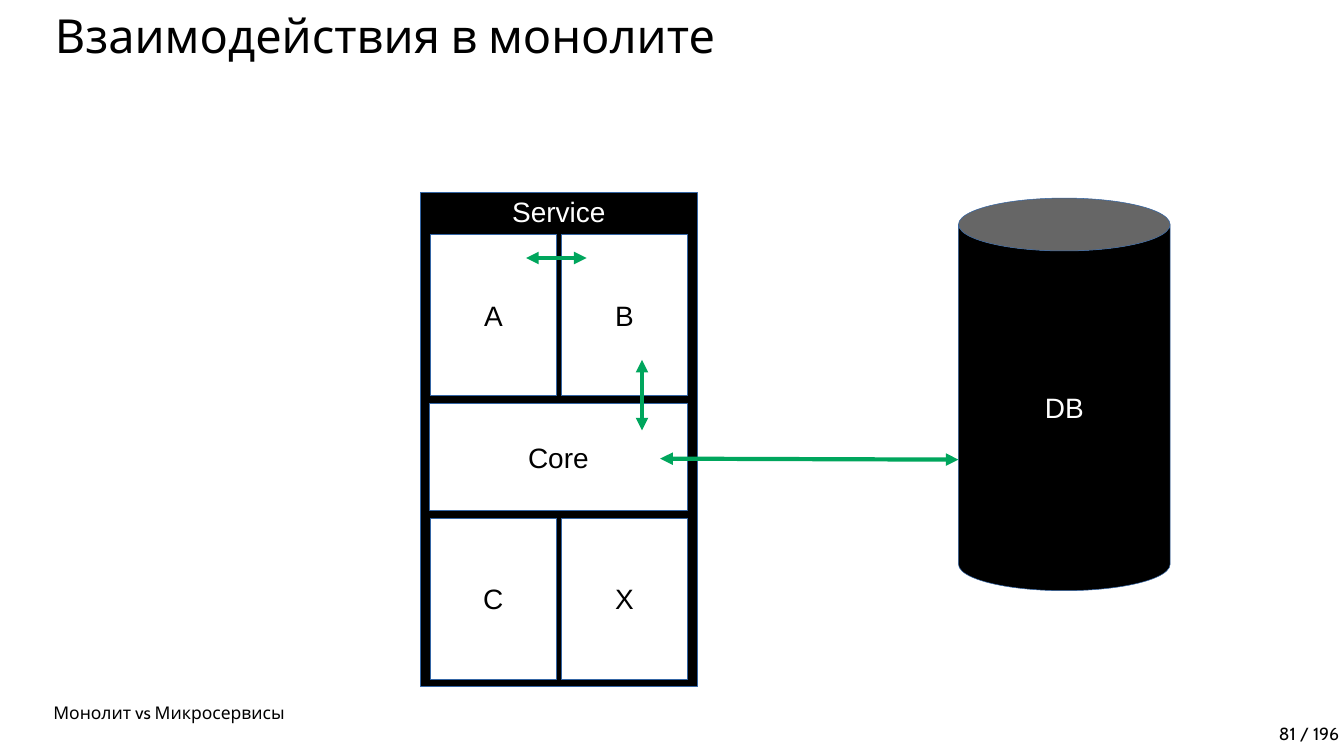
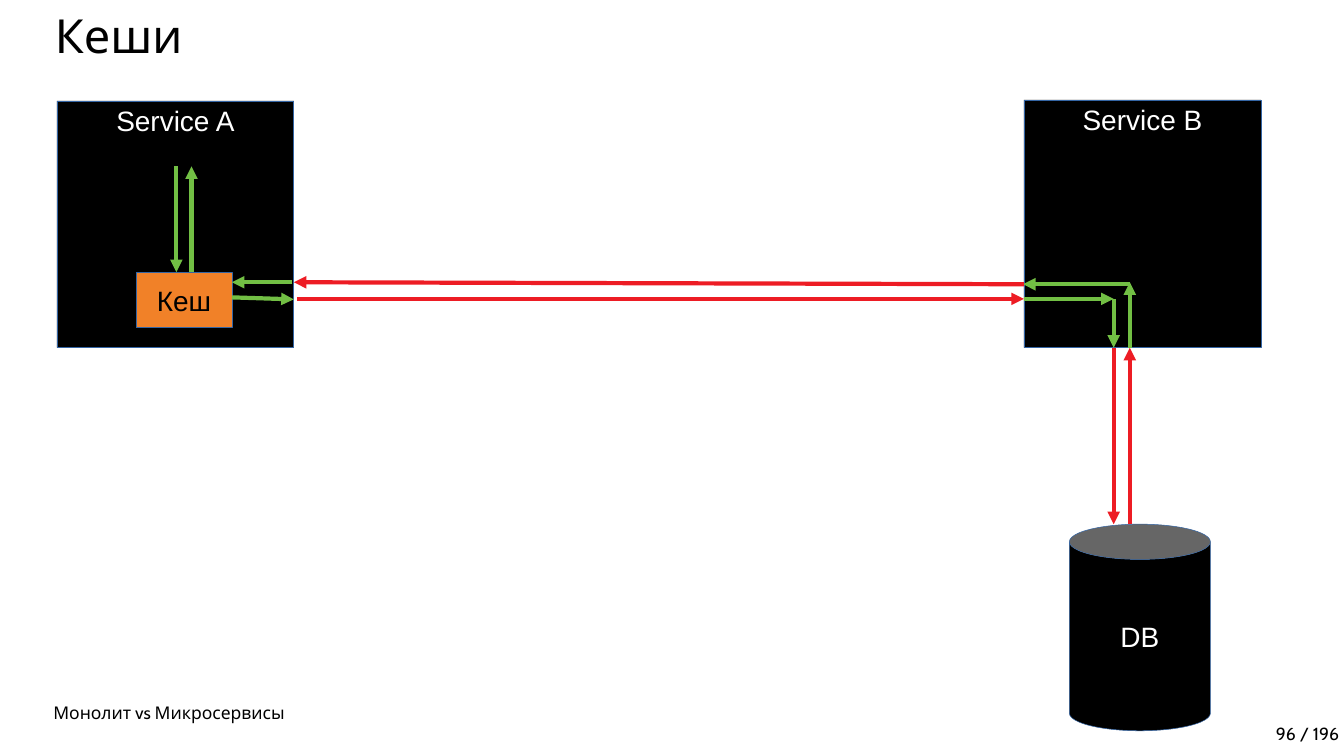
from collections import namedtuple

from lxml import etree
from pptx import Presentation
from pptx import util as u
from pptx.dml.color import RGBColor
from pptx.enum import shapes, text
from pptx.oxml import ns

PX = 9144  # EMU in one px, 100 px to the inch
COLORS = {
    "black": "000000",
    "white": "FFFFFF",
    "outline": "3465A4",
    "internal": "00A65D",
    "local": "72BF44",
    "network": "ED1C24",
    "cache": "F18128",
}
TITLE_FONT = "Cabin"
LABEL_FONT = "Arial"
RECT = shapes.MSO_SHAPE.RECTANGLE
CAN = shapes.MSO_SHAPE.CAN
TOP = text.MSO_ANCHOR.TOP
MIDDLE = text.MSO_ANCHOR.MIDDLE
BOTTOM = text.MSO_ANCHOR.BOTTOM
LEFT = text.PP_ALIGN.LEFT
RIGHT = text.PP_ALIGN.RIGHT

Box = namedtuple("Box", "left top width height")


def px(*lengths):
    return [u.Emu(length * PX) for length in lengths]


def rgb(name):
    return RGBColor.from_string(COLORS[name])


def inside(box, left, top, width, height):
    """Box given by its offset from the corner of another box."""
    return Box(box.left + left, box.top + top, width, height)


def style_text(frame, words, font, size, color, align, anchor):
    frame.text = words
    frame.vertical_anchor = anchor
    para = frame.paragraphs[0]
    para.alignment = align
    para.font.name = font
    para.font.size = u.Pt(size)
    para.font.color.rgb = rgb(color)


def add_caption(page, box, words, size, align=LEFT, anchor=BOTTOM):
    frame = page.shapes.add_textbox(*px(*box)).text_frame
    frame.word_wrap = True
    style_text(frame, words, TITLE_FONT, size, "black", align, anchor)
    frame.paragraphs[0].line_spacing = 0.9


def add_block(page, box, label, fill="black", color="white",
              kind=RECT, anchor=MIDDLE):
    block = page.shapes.add_shape(kind, *px(*box))
    block.shadow.inherit = False
    block.fill.solid()
    block.fill.fore_color.rgb = rgb(fill)
    block.line.color.rgb = rgb("outline")
    block.line.width = 0
    block.text_frame.word_wrap = False
    style_text(block.text_frame, label, LABEL_FONT, 40, color,
               text.PP_ALIGN.CENTER, anchor)


def add_arrow(page, box, start, end, color, both_ways=False):
    """Arrow between two points measured from the corner of the box."""
    ends = [box[axis] + point[axis] for point in (start, end) for axis in (0, 1)]
    arrow = page.shapes.add_connector(shapes.MSO_CONNECTOR.STRAIGHT, *px(*ends))
    arrow.line.color.rgb = rgb(color)
    arrow.line.width = u.Pt(6)
    line = arrow.line._get_or_add_ln()
    for tag in ["a:headEnd", "a:tailEnd"] if both_ways else ["a:tailEnd"]:
        etree.SubElement(line, ns.qn(tag), type="triangle")
    etree.SubElement(arrow._element.spPr, ns.qn("a:effectLst"))


def add_page(deck, title, number):
    page = deck.slides.add_slide(deck.slide_layouts[6])
    add_caption(page, Box(99, 20, 2568, 140), title, 67, anchor=TOP)
    add_caption(page, Box(96, 1385, 1135, 56), "Монолит vs Микросервисы", 25)
    add_caption(page, Box(1532, 1425, 1135, 56), f"{number} / 196", 25, RIGHT)
    return page


def add_monolith(page, box):
    add_block(page, box, "Service", anchor=TOP)
    for row, names in enumerate(["AB", "CX"]):
        for column, name in enumerate(names):
            module = inside(box, 20 + 260 * column, 83 + 563 * row, 250, 320)
            add_block(page, module, name, "white", "black")
    add_block(page, inside(box, 18, 419, 512, 211), "Core", "white", "black")
    add_arrow(page, box, (330, 130), (210, 130), "internal", True)
    add_arrow(page, box, (440, 472), (440, 332), "internal", True)


def add_caching_service(page, box):
    add_block(page, box, "Service A", anchor=TOP)
    add_block(page, inside(box, 157, 340, 190, 110), "Кеш", "cache", "black")
    for start, end in [
        ((237, 130), (237, 340)),
        ((267, 340), (267, 130)),
        ((347, 390), (470, 394)),
        ((467, 360), (347, 360)),
    ]:
        add_arrow(page, box, start, end, "local")


def add_data_service(page, box):
    add_block(page, box, "Service B", anchor=TOP)
    request, reply = 178, 210
    for start, end in [
        ((0, 395), (request, 395)),
        ((request, 395), (request, box.height)),
        ((reply, 366), (-2, 366)),
        ((reply, box.height), (reply, 362)),
    ]:
        add_arrow(page, box, start, end, "local")


def add_network_calls(page, service_a, service_b, database):
    """Calls between the services and down to the database, from service B."""
    drop = database.top - service_b.top
    gap = service_b.left - service_a.left
    for start, end in [
        ((590 - service_b.left, 395), (0, 395)),
        ((0, 366), (service_a.width - gap, 362)),
        ((178, service_b.height), (178, drop)),
        ((210, drop), (210, service_b.height)),
    ]:
        add_arrow(page, service_b, start, end, "network")


def build_monolith_page(deck):
    page = add_page(deck, "Взаимодействия в монолите", 81)
    service = Box(834, 382, 550, 980)
    database = Box(1902, 393, 420, 779)
    add_monolith(page, service)
    add_block(page, database, "DB", kind=CAN)
    add_arrow(page, service, (476, 528), (database.left - service.left, 530),
              "internal", True)


def build_cache_page(deck):
    page = add_page(deck, "Кеши", 96)
    service_a = Box(113, 200, 470, 490)
    service_b = Box(2032, 198, 470, 492)
    database = Box(2122, 1040, 280, 410)
    add_caching_service(page, service_a)
    add_data_service(page, service_b)
    add_block(page, database, "DB", kind=CAN)
    add_network_calls(page, service_a, service_b, database)


def main():
    deck = Presentation()
    deck.slide_width, deck.slide_height = px(2667, 1500)
    build_monolith_page(deck)
    build_cache_page(deck)
    deck.save("out.pptx")


if __name__ == "__main__":
    main()
